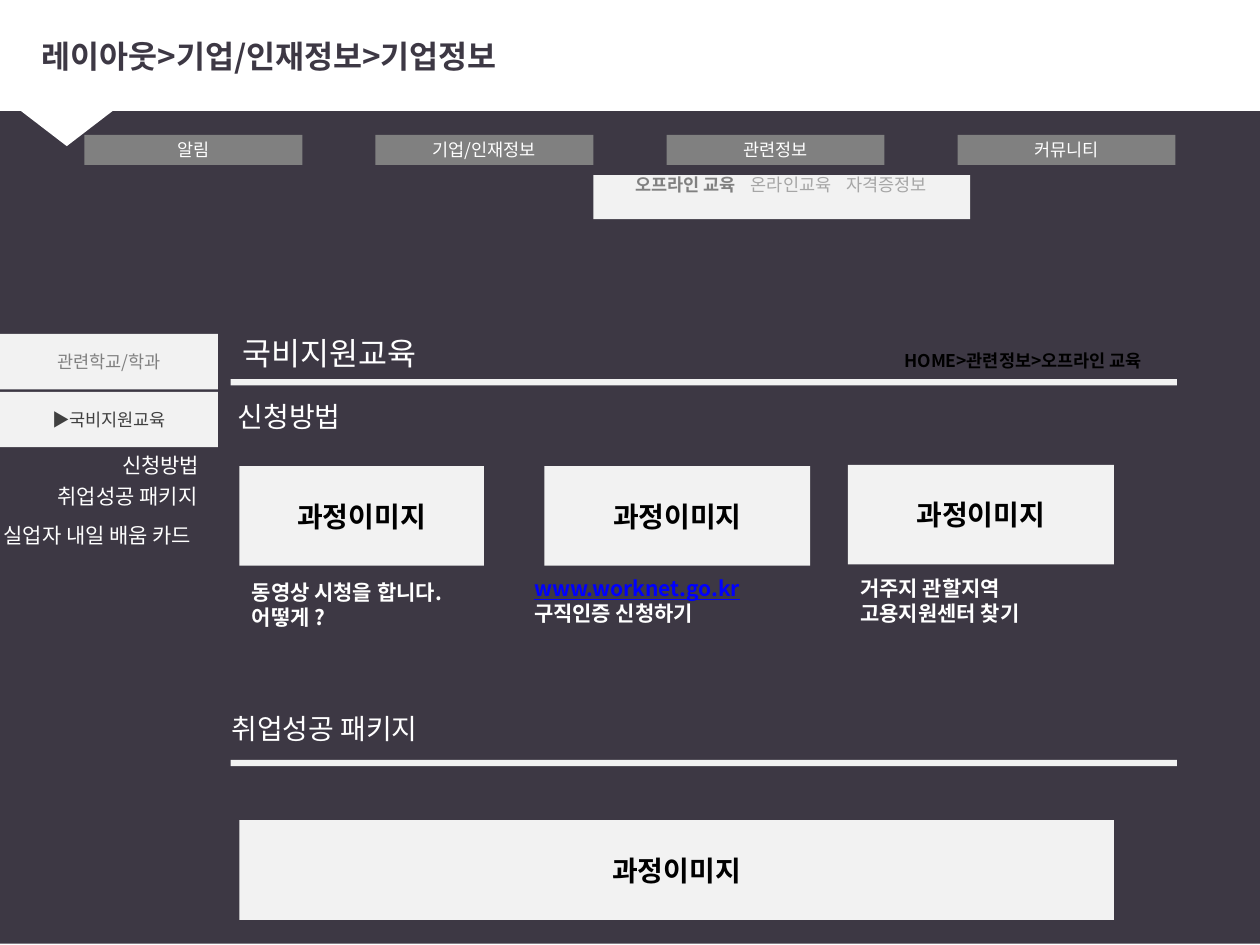
from pptx import Presentation, util as u
from pptx.dml.color import RGBColor
from pptx.enum import shapes, text
from pptx.oxml import parse_xml
from pptx.oxml.ns import nsdecls, qn

COLORS = dict(ink="3D3844", white="FFFFFF", panel="F2F2F2", nav="808080",
              muted="A6A6A6", dark="404040", black="000000", link="0000FF")
FONT = "Noto Sans CJK KR"
COLUMNS, ROWS = 100, 75


class Wireframe:
    """Holds the style and the current slide; lengths are grid columns and rows."""

    def __init__(self, deck):
        self.slide = deck.slides.add_slide(deck.slide_layouts[5])
        self.column = deck.slide_width / COLUMNS
        self.row = deck.slide_height / ROWS

    def place(self, left, top, width, height):
        return [u.Emu(round(share * unit)) for share, unit in
                zip((left, top, width, height), (self.column, self.row) * 2)]

    def fill_text(self, frame, runs, align="LEFT", anchor="TOP", **frame_format):
        """Fill a frame with one paragraph of (wording, font format) runs."""
        settings = dict(word_wrap=True, auto_size=text.MSO_AUTO_SIZE.NONE,
                        vertical_anchor=text.MSO_ANCHOR[anchor]) | frame_format
        for name, value in settings.items():
            setattr(frame, name, value)
        paragraph = frame.paragraphs[0]
        paragraph.alignment = text.PP_ALIGN[align]
        for wording, style in runs:
            run = paragraph.add_run()
            run.text = wording
            font_format = dict(name=FONT, bold=False) | style
            run.font.color.rgb = RGBColor.from_string(COLORS[font_format.pop("color")])
            font_format["size"] = u.Pt(font_format["size"])
            for name, value in font_format.items():
                setattr(run.font, name, value)
            run.font._element.find(qn("a:latin")).addnext(
                parse_xml(f'<a:ea {nsdecls("a")} typeface="{FONT}"/>'))
        return paragraph

    def title(self, wording, *area):
        heading = self.slide.shapes.title
        for name, value in zip(("left", "top", "width", "height"), self.place(*area)):
            setattr(heading, name, value)
        self.fill_text(heading.text_frame,
                       [(wording, dict(size=18, color="ink", bold=True))], anchor="MIDDLE")
        # The title belongs above the header band
        self.slide.shapes._spTree.append(heading._element)

    def block(self, fill, *area, preset="RECTANGLE"):
        block = self.slide.shapes.add_shape(shapes.MSO_SHAPE[preset], *self.place(*area))
        block.shadow.inherit = False
        block.fill.solid()
        block.fill.fore_color.rgb = RGBColor.from_string(COLORS[fill])
        block.line.fill.background()
        return block

    def button(self, wording, fill, *area, **style):
        button = self.block(fill, *area)
        self.fill_text(button.text_frame, [(wording, style)], "CENTER", "MIDDLE")

    def label(self, runs, *area):
        self.fill_text(self.slide.shapes.add_textbox(*self.place(*area)).text_frame, runs)

    def submenu(self, runs, stops, indent, *area):
        """A panel whose entries are set at tab stops, near its top edge."""
        panel = self.block("panel", *area)
        line = self.fill_text(panel.text_frame, runs, anchor="MIDDLE",
                              margin_left=round(indent * self.column), margin_right=0,
                              margin_top=0, margin_bottom=round(2 * self.row))
        tabs = "".join(f'<a:tab pos="{round(stop * self.column)}" algn="l"/>' for stop in stops)
        line._p.get_or_add_pPr().append(
            parse_xml(f'<a:tabLst {nsdecls("a")}>{tabs}</a:tabLst>'))


def build():
    deck = Presentation()
    deck.slide_width, deck.slide_height = u.Inches(10), u.Inches(7.5)
    page = Wireframe(deck)

    # Header
    page.block("ink", 0, 0, COLUMNS, 74.9)
    page.block("white", 0, 0, COLUMNS, 8.8)
    pointer = page.block("white", -2, 6, 14.6, 5.6, preset="ISOSCELES_TRIANGLE")
    pointer.rotation = 180
    page.title("레이아웃>기업/인재정보>기업정보", 2.3, 1.3, 96.6, 6.2)

    # Navigation
    for i, menu in enumerate(("알림", "기업/인재정보", "관련정보", "커뮤니티")):
        page.button(menu, "nav", 6.7 + 23.1 * i, 10.7, 17.3, 2.4, size=10, color="white")
    page.submenu([("오프라인 교육", dict(size=10, color="nav", bold=True)),
                  ("\t온라인교육\t자격증정보", dict(size=10, color="muted"))],
                 (9.2, 16.8), 3.3, 47.1, 13.9, 29.9, 3.5)

    # Sidebar
    for i, (entry, color) in enumerate((("관련학교/학과", "nav"), ("▶국비지원교육", "dark"))):
        page.button(entry, "panel", 0, 26.5 + 4.6 * i, 17.3, 4.4, size=10, color=color)

    # Section rules and plain labels
    for top in (30.1, 60.3):
        page.block("panel", 18.3, top, 75.1, 0.5)
    labels = (
        ("국비지원교육", 18, (18.3, 26, 17.6, 4)),
        ("신청방법", 16, (17.9, 31.2, 19.5, 3.7)),
        ("취업성공 패키지", 16, (17.4, 56, 24.4, 3.7)),
        ("신청방법", 12, (8.7, 35.4, 10.1, 3)),
        ("취업성공 패키지", 12, (3.6, 37.9, 15, 3)),
        ("실업자 내일 배움 카드", 12, (-0.7, 41, 18.9, 3)),
    )
    for wording, size, area in labels:
        page.label([(wording, dict(size=size, color="white"))], *area)
    page.label([("HOME>관련정보>오프라인 교육", dict(size=10, color="black", bold=True))],
               70.8, 27.3, 23.3, 2.7)

    # Course images and their captions
    for area in ((19, 37, 19.4, 7.9), (43.2, 37, 21.1, 7.9),
                 (67.3, 36.9, 21.1, 7.9), (19, 65.1, 69.4, 7.9)):
        page.button("과정이미지", "panel", *area, size=16, color="black", bold=True)
    caption = dict(size=12, color="white", bold=True)
    address = caption | dict(color="link", underline=True)
    page.label([("동영상 시청을 합니다. 어떻게 ?", caption)], 19, 45.5, 22, 5)
    page.label([("www.worknet.go.kr", address), (" 구직인증 신청하기", caption)],
               41.4, 45.2, 24.7, 5)
    page.label([("거주지 관할지역 고용지원센터 찾기", caption)], 67.3, 45.2, 22, 5)

    deck.save("out.pptx")


if __name__ == "__main__":
    build()
